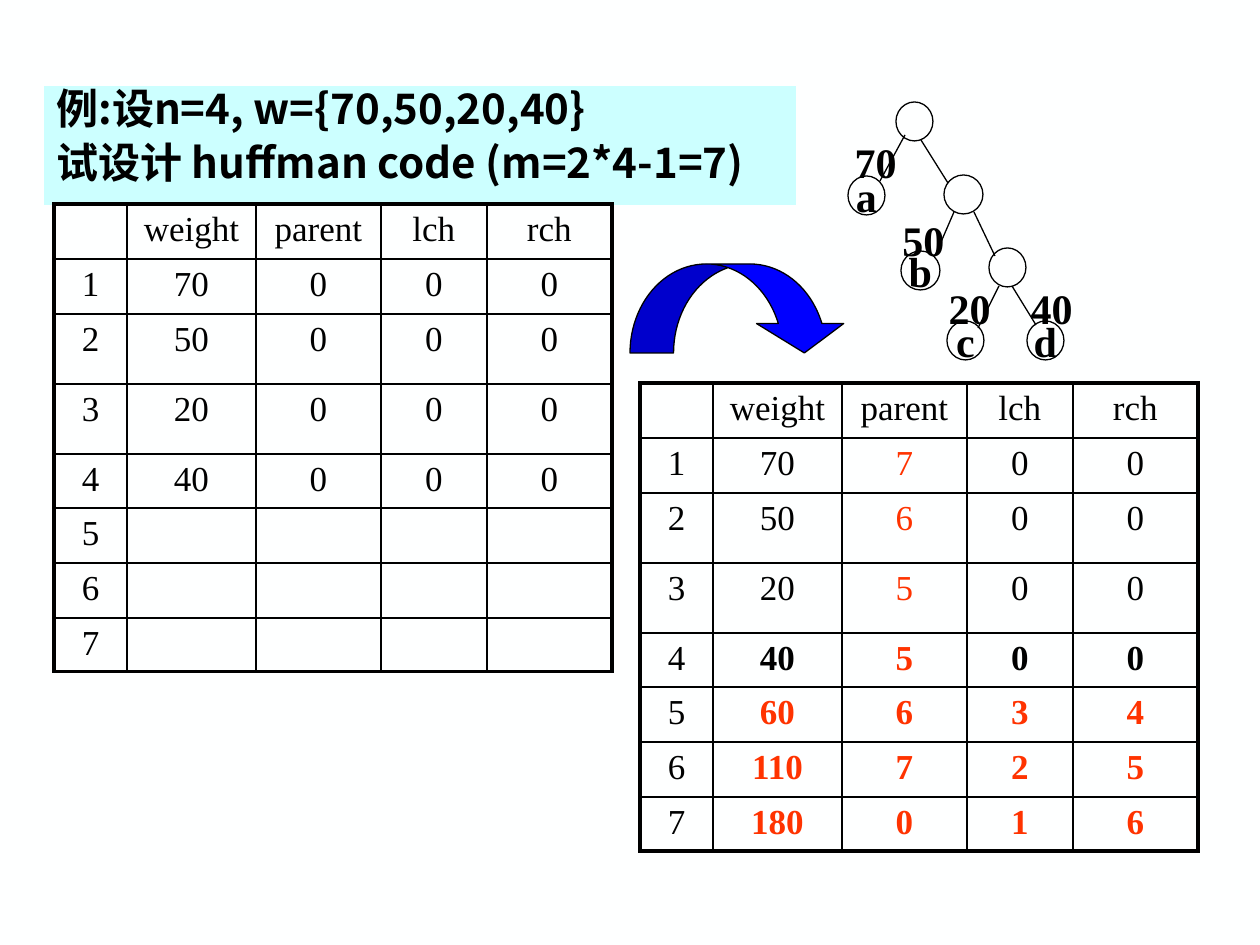
from typing import NamedTuple

from lxml.etree import SubElement
from pptx import Presentation
from pptx.dml.color import RGBColor
from pptx.enum.shapes import MSO_CONNECTOR, MSO_SHAPE
from pptx.enum.text import MSO_ANCHOR, PP_ALIGN
from pptx.oxml.ns import qn
from pptx.util import Emu, Pt

LATIN_FONT = "Times New Roman"
TITLE_FONT = "Noto Sans CJK SC"
BLACK = "000000"
ORANGE = "FF3300"
COLUMN_WIDTHS = [73, 129, 125, 106, 125]
ROW_HEIGHTS = [55, 55, 70, 70, 54, 55, 55, 54]
HEADER = ["", "weight", "parent", "lch", "rch"]


class Node(NamedTuple):
    left: int
    top: int
    width: int
    letter: str = ""


class Weight(NamedTuple):
    left: int
    top: int
    value: str


class Edge(NamedTuple):
    x1: int
    y1: int
    x2: int
    y2: int


class CodeTable(NamedTuple):
    left: int
    top: int
    values: list
    solved: bool


NODES = [
    Node(896, 102, 37), Node(944, 175, 39), Node(989, 248, 37),
    Node(848, 176, 37, "a"), Node(901, 251, 39, "b"),
    Node(947, 321, 37, "c"), Node(1027, 321, 37, "d"),
]
WEIGHTS = [
    Weight(842, 130, "70"), Weight(890, 208, "50"),
    Weight(936, 276, "20"), Weight(1018, 276, "40"),
]
EDGES = [
    Edge(905, 135, 880, 181), Edge(921, 140, 948, 183),
    Edge(954, 212, 935, 256), Edge(974, 212, 995, 256),
    Edge(999, 286, 978, 328), Edge(1012, 286, 1036, 325),
]
TABLES = [
    CodeTable(54, 204, [
        ["70", "0", "0", "0"], ["50", "0", "0", "0"],
        ["20", "0", "0", "0"], ["40", "0", "0", "0"],
        [""] * 4, [""] * 4, [""] * 4,
    ], False),
    CodeTable(640, 383, [
        ["70", "7", "0", "0"], ["50", "6", "0", "0"],
        ["20", "5", "0", "0"], ["40", "5", "0", "0"],
        ["60", "6", "3", "4"], ["110", "7", "2", "5"], ["180", "0", "1", "6"],
    ], True),
]


def px(length: int) -> Emu:
    return Emu(round(length * 914400 / 126))


def color(value: str) -> RGBColor:
    return RGBColor.from_string(value)


def add_text(paragraph, text: str, size: int, bold: bool = False,
             text_color: str = BLACK, font: str = LATIN_FONT) -> None:
    run = paragraph.add_run()
    run.text = text
    run.font.size = Pt(size)
    run.font.bold = bold
    run.font.name = font
    run.font.color.rgb = color(text_color)
    east_asian = SubElement(run.font._element, qn("a:ea"))
    east_asian.set("typeface", font)


def outline(shape) -> None:
    shape.line.color.rgb = color(BLACK)
    shape.line.width = Pt(0.75)


def center_label(shape, text: str) -> None:
    frame = shape.text_frame
    frame.word_wrap = False
    frame.vertical_anchor = MSO_ANCHOR.MIDDLE
    frame.paragraphs[0].alignment = PP_ALIGN.CENTER
    add_text(frame.paragraphs[0], text, 24, True)


def add_title(slide, lines: list) -> None:
    shape = slide.shapes.add_shape(MSO_SHAPE.RECTANGLE, px(44), px(86), px(752), px(119))
    shape.shadow.inherit = False
    shape.fill.solid()
    shape.fill.fore_color.rgb = color("CCFFFF")
    shape.line.fill.background()
    frame = shape.text_frame
    frame.word_wrap = True
    frame.vertical_anchor = MSO_ANCHOR.TOP
    for index, line in enumerate(lines):
        paragraph = frame.add_paragraph() if index else frame.paragraphs[0]
        paragraph.alignment = PP_ALIGN.LEFT
        paragraph.line_spacing = 0.8
        if index:
            paragraph.space_before = Pt(8)
        add_text(paragraph, line, 24, True, font=TITLE_FONT)


def set_borders(cell, thick_sides: dict) -> None:
    properties = cell._tc.get_or_add_tcPr()
    for index, (side, thick) in enumerate(thick_sides.items()):
        line = properties.makeelement(qn(f"a:{side}"), {"w": str(Pt(2.25 if thick else 1))})
        fill = SubElement(line, qn("a:solidFill"))
        SubElement(fill, qn("a:srgbClr")).set("val", BLACK)
        properties.insert(index, line)


def add_code_table(slide, spec_table: CodeTable) -> None:
    rows = [HEADER] + [[str(number), *values]
                       for number, values in enumerate(spec_table.values, 1)]
    last_row, last_column = len(rows) - 1, len(HEADER) - 1
    table = slide.shapes.add_table(
        len(rows), len(HEADER), px(spec_table.left), px(spec_table.top),
        px(sum(COLUMN_WIDTHS)), px(sum(ROW_HEIGHTS))).table
    table.first_row = False
    table.horz_banding = False
    for column, width in zip(table.columns, COLUMN_WIDTHS):
        column.width = px(width)
    for row, height in zip(table.rows, ROW_HEIGHTS):
        row.height = px(height)
    for r, values in enumerate(rows):
        for c, text in enumerate(values):
            cell = table.cell(r, c)
            cell.fill.background()
            set_borders(cell, {"lnL": c == 0, "lnR": c == last_column,
                               "lnT": r == 0, "lnB": r == last_row})
            if text:
                computed = spec_table.solved and r > 0 and (c == 2 or (r > 4 and c > 0))
                bold = spec_table.solved and r > 3 and c > 0
                paragraph = cell.text_frame.paragraphs[0]
                paragraph.alignment = PP_ALIGN.CENTER
                add_text(paragraph, text, 20, bold, ORANGE if computed else BLACK)


def add_node(tree, node: Node) -> None:
    circle = tree.shapes.add_shape(
        MSO_SHAPE.OVAL, px(node.left), px(node.top), px(node.width), px(39))
    circle.shadow.inherit = False
    circle.fill.background()
    outline(circle)
    if node.letter:
        center_label(circle, node.letter)


def add_weight(tree, weight: Weight) -> None:
    box = tree.shapes.add_textbox(px(weight.left), px(weight.top), px(67), px(63))
    center_label(box, weight.value)


def add_edge(tree, edge: Edge) -> None:
    connector = tree.shapes.add_connector(MSO_CONNECTOR.STRAIGHT, *map(px, edge))
    outline(connector)
    SubElement(connector._element.spPr, qn("a:effectLst"))


def add_arrow(slide) -> None:
    arrow = slide.shapes.add_shape(
        MSO_SHAPE.CURVED_DOWN_ARROW, px(630), px(264), px(218), px(89))
    arrow.shadow.inherit = False
    for index, value in enumerate([0.488, 0.976, 0.333]):
        arrow.adjustments[index] = round(value, 2)
    arrow.fill.solid()
    arrow.fill.fore_color.rgb = color("0000FF")
    outline(arrow)


def main() -> None:
    presentation = Presentation()
    presentation.slide_width, presentation.slide_height = px(1260), px(945)
    slide = presentation.slides.add_slide(presentation.slide_layouts[6])
    slide.background.fill.solid()
    slide.background.fill.fore_color.rgb = color("FEFFFF")
    add_title(slide, ["例:设n=4, w={70,50,20,40}", "试设计 huffman code (m=2*4-1=7)"])
    for code_table in TABLES:
        add_code_table(slide, code_table)
    tree = slide.shapes.add_group_shape()
    for node in NODES:
        add_node(tree, node)
    for weight in WEIGHTS:
        add_weight(tree, weight)
    for edge in EDGES:
        add_edge(tree, edge)
    add_arrow(slide)
    presentation.save("out.pptx")


if __name__ == "__main__":
    main()
